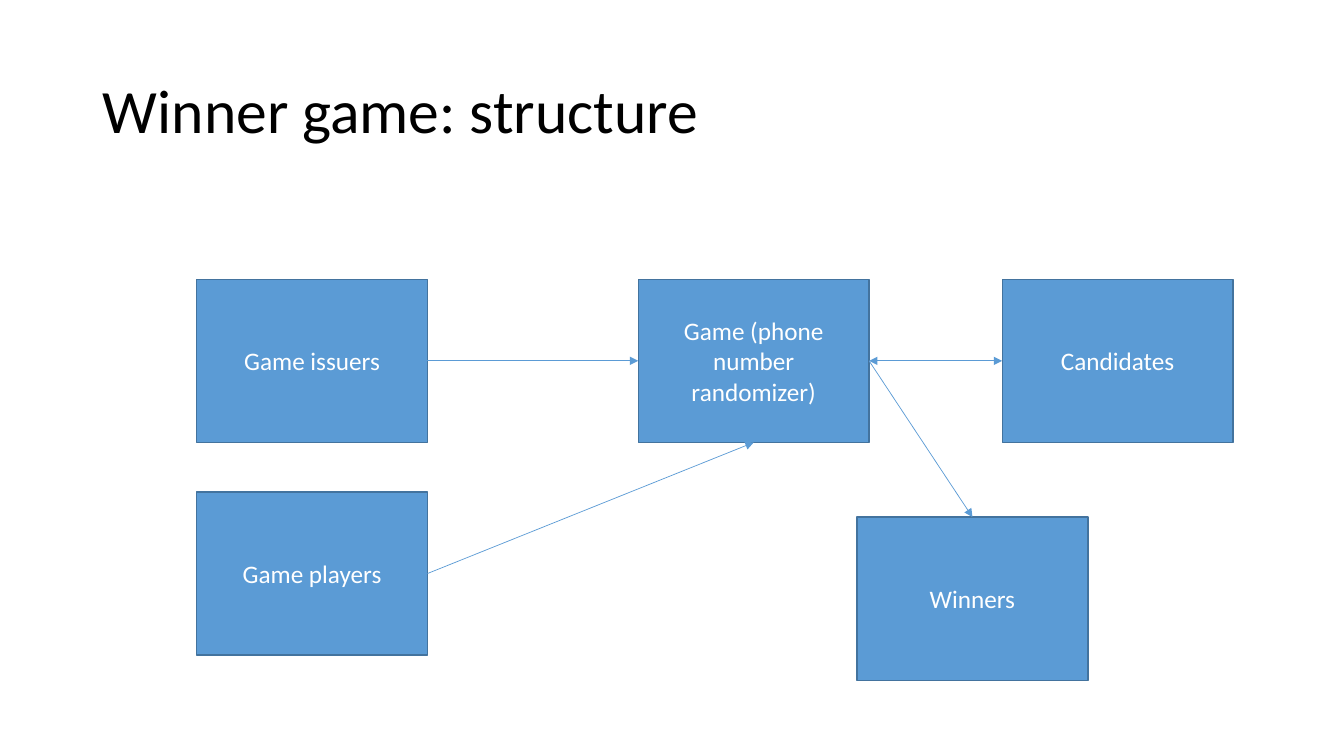
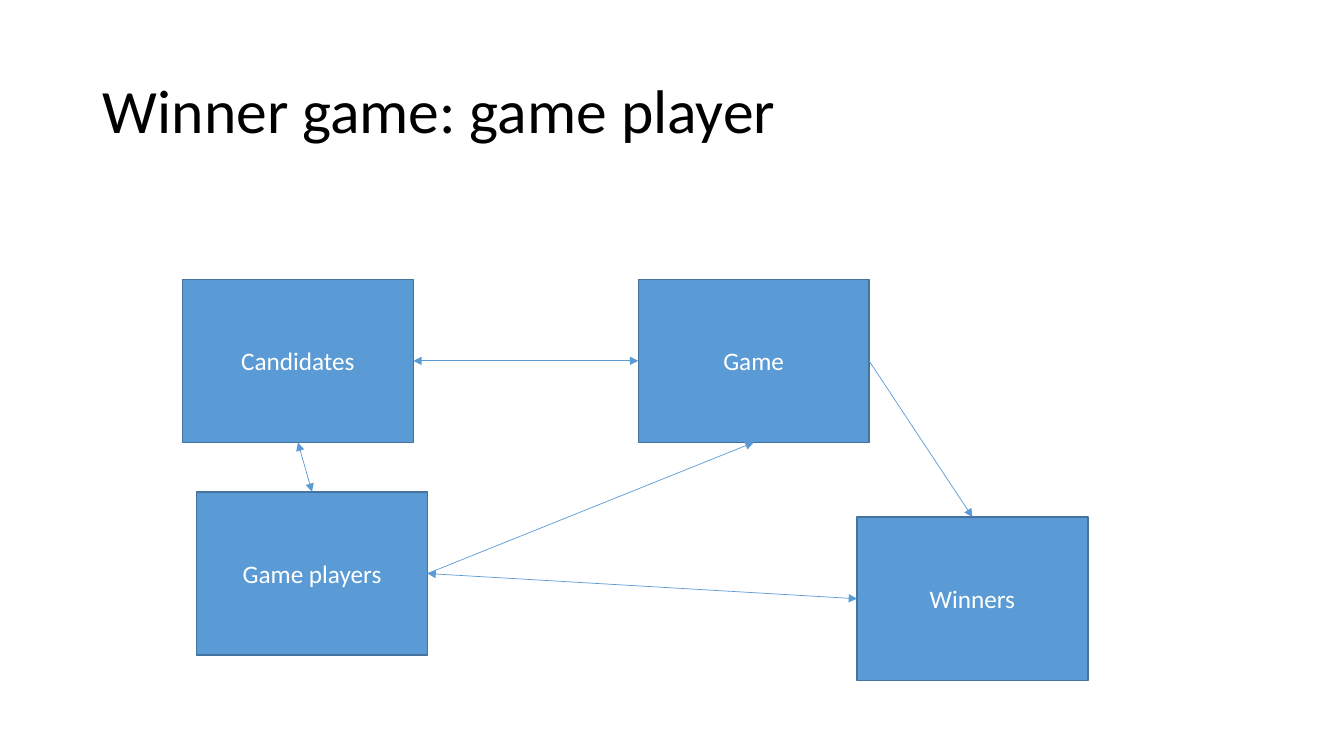
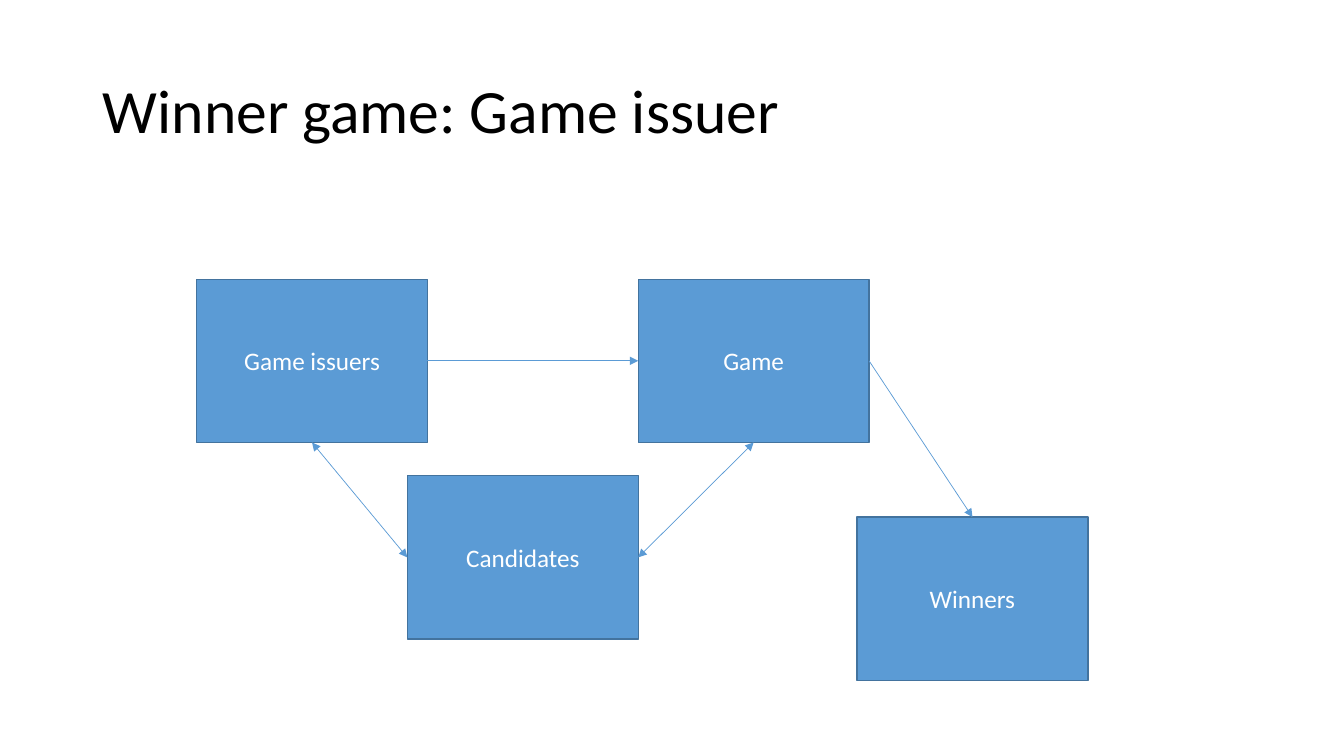
from dataclasses import dataclass

from lxml.etree import SubElement
from pptx import Presentation
from pptx.dml.color import RGBColor
from pptx.enum.shapes import MSO_CONNECTOR, MSO_SHAPE
from pptx.enum.text import MSO_ANCHOR, MSO_AUTO_SIZE, PP_ALIGN
from pptx.oxml.ns import qn
from pptx.shapes.autoshape import Shape
from pptx.slide import Slide
from pptx.text.text import TextFrame
from pptx.util import Inches, Pt

FONT = "Calibri"
BLUE, EDGE, WHITE, BLACK = "5B9BD5", "43739E", "FFFFFF", "000000"
BOX_W, BOX_H = 2.29, 1.62
ROW_Y = 2.77
TOP, LEFT, BOTTOM, RIGHT = range(4)


@dataclass(frozen=True)
class Box:
    """A labelled rectangle and its top left corner in inches."""
    text: str
    x: float
    y: float = ROW_Y


@dataclass(frozen=True)
class Arrow:
    """An arrow between the sides of two boxes."""
    start: Box
    start_side: int
    end: Box
    end_side: int
    both: bool = False


@dataclass(frozen=True)
class Diagram:
    """A slide title with its boxes and arrows."""
    title: str
    boxes: list[Box]
    arrows: list[Arrow]


ISSUERS = Box("Game issuers", 1.95)
PLAYERS = Box("Game players", 1.95, 4.88)
WINNERS = Box("Winners", 8.5, 5.13)
RANDOMIZER = Box("Game (phone number randomizer)", 6.33)
GAME = Box("Game", 6.33)
CANDIDATES_RIGHT = Box("Candidates", 9.94)
CANDIDATES_LEFT = Box("Candidates", 1.81)
CANDIDATES_MIDDLE = Box("Candidates", 4.04, 4.72)

DIAGRAMS = [
    Diagram("Winner game: structure",
            [ISSUERS, RANDOMIZER, PLAYERS, WINNERS, CANDIDATES_RIGHT],
            [Arrow(ISSUERS, RIGHT, RANDOMIZER, LEFT),
             Arrow(PLAYERS, RIGHT, RANDOMIZER, BOTTOM),
             Arrow(RANDOMIZER, RIGHT, WINNERS, TOP),
             Arrow(RANDOMIZER, RIGHT, CANDIDATES_RIGHT, LEFT, both=True)]),
    Diagram("Winner game: game player",
            [GAME, PLAYERS, WINNERS, CANDIDATES_LEFT],
            [Arrow(PLAYERS, RIGHT, GAME, BOTTOM),
             Arrow(GAME, RIGHT, WINNERS, TOP),
             Arrow(PLAYERS, TOP, CANDIDATES_LEFT, BOTTOM, both=True),
             Arrow(GAME, LEFT, CANDIDATES_LEFT, RIGHT, both=True),
             Arrow(WINNERS, LEFT, PLAYERS, RIGHT, both=True)]),
    Diagram("Winner game: Game issuer",
            [ISSUERS, GAME, WINNERS, CANDIDATES_MIDDLE],
            [Arrow(ISSUERS, RIGHT, GAME, LEFT),
             Arrow(GAME, RIGHT, WINNERS, TOP),
             Arrow(ISSUERS, BOTTOM, CANDIDATES_MIDDLE, LEFT, both=True),
             Arrow(CANDIDATES_MIDDLE, RIGHT, GAME, BOTTOM, both=True)]),
]


def rgb(value: str) -> RGBColor:
    """Turn a hex string into a colour."""
    return RGBColor.from_string(value)


def write(tf: TextFrame, text: str, size: float, color: str, align: PP_ALIGN) -> None:
    """Fill a text frame with one formatted, vertically centred paragraph."""
    tf.text = text
    tf.word_wrap = True
    tf.vertical_anchor = MSO_ANCHOR.MIDDLE
    p = tf.paragraphs[0]
    p.alignment = align
    font = p.runs[0].font
    font.name, font.size = FONT, Pt(size)
    font.color.rgb = rgb(color)


def add_title(s: Slide, text: str) -> None:
    """Place and format the slide title."""
    sp = s.shapes.title
    sp.left, sp.top = Inches(0.92), Inches(0.4)
    sp.width, sp.height = Inches(11.5), Inches(1.45)
    tf = sp.text_frame
    write(tf, text, 44, BLACK, PP_ALIGN.LEFT)
    tf.auto_size = MSO_AUTO_SIZE.NONE
    tf.paragraphs[0].line_spacing = 0.9


def add_box(s: Slide, box: Box) -> Shape:
    """Draw a labelled rectangle."""
    sp = s.shapes.add_shape(MSO_SHAPE.RECTANGLE, Inches(box.x), Inches(box.y),
                            Inches(BOX_W), Inches(BOX_H))
    sp.shadow.inherit = False
    sp.fill.solid()
    sp.fill.fore_color.rgb = rgb(BLUE)
    sp.line.color.rgb = rgb(EDGE)
    sp.line.width = Pt(1)
    write(sp.text_frame, box.text, 18, WHITE, PP_ALIGN.CENTER)
    return sp


def add_arrow(s: Slide, arrow: Arrow, shapes: dict[Box, Shape]) -> None:
    """Join two drawn boxes with an arrow."""
    c = s.shapes.add_connector(MSO_CONNECTOR.STRAIGHT, 0, 0, 0, 0)
    c.begin_connect(shapes[arrow.start], arrow.start_side)
    c.end_connect(shapes[arrow.end], arrow.end_side)
    c.line.color.rgb = rgb(BLUE)
    c.line.width = Pt(0.5)
    props = c.element.spPr
    ln = props.find(qn("a:ln"))
    for tag in ("a:headEnd", "a:tailEnd") if arrow.both else ("a:tailEnd",):
        SubElement(ln, qn(tag), type="triangle")
    SubElement(props, qn("a:effectLst"))


def main() -> None:
    """Build and save the presentation."""
    prs = Presentation()
    prs.slide_width, prs.slide_height = Inches(13.33), Inches(7.5)
    for diagram in DIAGRAMS:
        s = prs.slides.add_slide(prs.slide_layouts[5])
        add_title(s, diagram.title)
        shapes = {box: add_box(s, box) for box in diagram.boxes}
        for arrow in diagram.arrows:
            add_arrow(s, arrow, shapes)
    prs.save("out.pptx")


if __name__ == "__main__":
    main()
